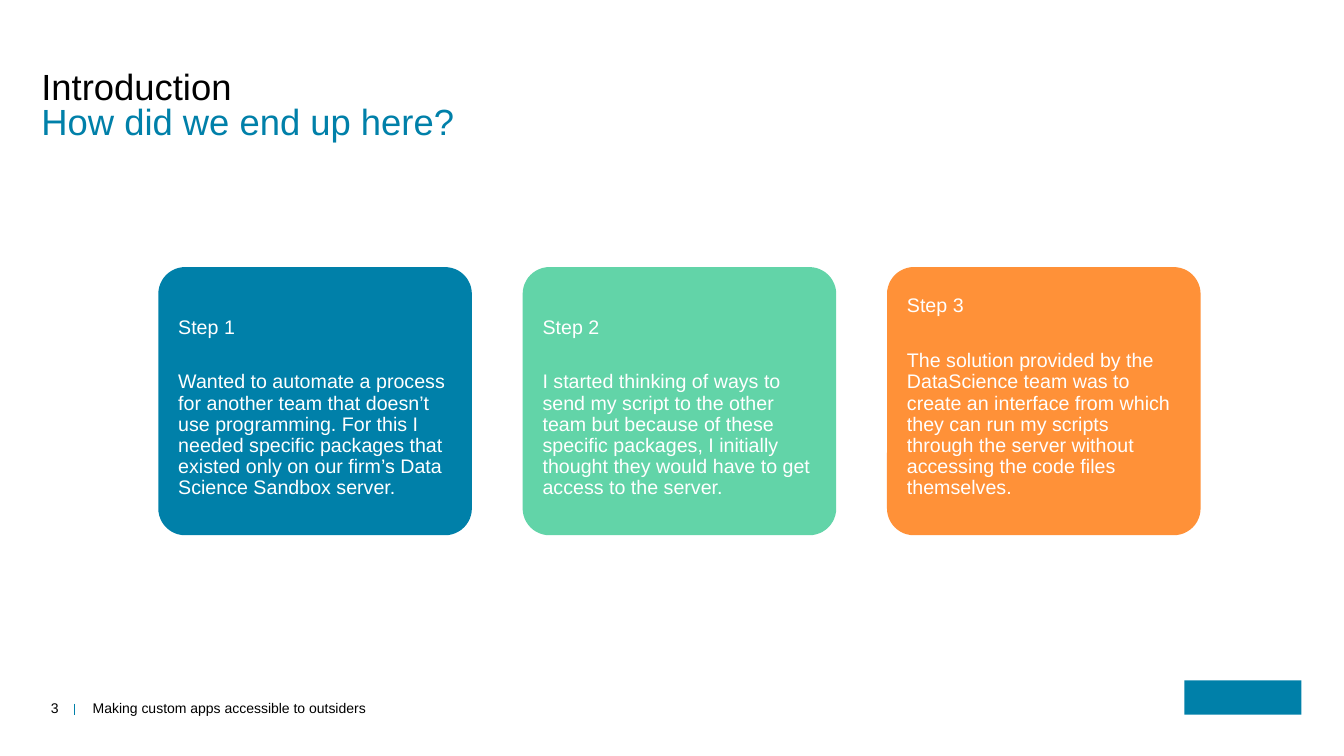
"""Build the introduction slide with three step cards."""
import pptx
import pptx.util
import pptx.dml.color
import pptx.enum.shapes
import pptx.enum.text
import pptx.oxml.ns
import lxml.etree

RGBColor = pptx.dml.color.RGBColor
ANCHOR = pptx.enum.text.MSO_ANCHOR
ALIGN = pptx.enum.text.PP_ALIGN
SHAPE = pptx.enum.shapes.MSO_SHAPE
BLUE = RGBColor(0x00, 0x80, 0xA9)
GREEN = RGBColor(0x62, 0xD4, 0xA8)
ORANGE = RGBColor(0xFF, 0x91, 0x38)
BLACK = RGBColor(0, 0, 0)
WHITE = RGBColor(0xFF, 0xFF, 0xFF)
FONT = "Arial"
WIDTH = pptx.util.Inches(13.33)
HEIGHT = pptx.util.Inches(7.5)
MARGIN, TEXT_WIDTH, TITLE_HEIGHT = 3.08, 93.9, 5.2
CARD_LEFT, CARD_TOP, CARD_PITCH = 11.78, 35.33, 27.11
CARD_WIDTH, CARD_HEIGHT = 23.33, 35.47
FOOTER_TOP, FOOTER_HEIGHT = 92.53, 2.27

STEPS = [
    ("Step 1", "Wanted to automate a process for another team that doesn’t use programming. "
     "For this I needed specific packages that existed only on our firm’s Data Science Sandbox server.",
     BLUE),
    ("Step 2", "I started thinking of ways to send my script to the other team but because of "
     "these specific packages, I initially thought they would have to get access to the server.",
     GREEN),
    ("Step 3", "The solution provided by the DataScience team was to create an interface from "
     "which they can run my scripts through the server without accessing the code files themselves.",
     ORANGE),
]


def area(x, y, w, h):
    """Turn percentages of the slide into left, top, width and height."""
    return int(WIDTH * x / 100), int(HEIGHT * y / 100), int(WIDTH * w / 100), int(HEIGHT * h / 100)


def set_frame(tf, anchor, left=0, top=0, right=0, bottom=0):
    """Set wrapping, anchor and insets in inches."""
    tf.word_wrap = True
    tf.auto_size = pptx.enum.text.MSO_AUTO_SIZE.NONE
    tf.vertical_anchor = anchor
    tf.margin_left, tf.margin_top = pptx.util.Inches(left), pptx.util.Inches(top)
    tf.margin_right, tf.margin_bottom = pptx.util.Inches(right), pptx.util.Inches(bottom)


def write(p, text, size, color, align=ALIGN.LEFT, spacing=1.0, before=0):
    """Add one formatted run to a paragraph."""
    p.alignment = align
    p.line_spacing = spacing
    p.space_before = pptx.util.Pt(before)
    r = p.add_run()
    r.text = text
    r.font.name = FONT
    r.font.size = pptx.util.Pt(size)
    r.font.color.rgb = color


def fill_heading(sp, y, text, color, anchor):
    """Place a placeholder and write one heading line without a bullet."""
    sp.left, sp.top, sp.width, sp.height = area(MARGIN, y, TEXT_WIDTH, TITLE_HEIGHT)
    set_frame(sp.text_frame, anchor)
    p = sp.text_frame.paragraphs[0]
    pPr = p._p.get_or_add_pPr()
    pPr.set("marL", "0")
    pPr.set("indent", "0")
    lxml.etree.SubElement(pPr, pptx.oxml.ns.qn("a:buNone"))
    write(p, text, 26, color, spacing=0.9)


def add_block(s, kind, box, color):
    """Add a plain filled shape without outline or shadow."""
    sp = s.shapes.add_shape(kind, *box)
    sp.shadow.inherit = False
    sp.fill.solid()
    sp.fill.fore_color.rgb = color
    sp.line.fill.background()
    return sp


def add_card(s, col, label, text, color):
    """Add a rounded step card in the given column."""
    box = area(CARD_LEFT + col * CARD_PITCH, CARD_TOP, CARD_WIDTH, CARD_HEIGHT)
    sp = add_block(s, SHAPE.ROUNDED_RECTANGLE, box, color)
    sp.adjustments[0] = 0.1
    tf = sp.text_frame
    set_frame(tf, ANCHOR.BOTTOM, 0.12, 0.08, 0.12, 0.28)
    write(tf.paragraphs[0], label, 14, WHITE, spacing=0.9)
    write(tf.add_paragraph(), text, 14, WHITE, spacing=0.9, before=24)


def add_footer_text(s, x, w, text, align, left=0):
    """Add a small text box on the footer row."""
    tf = s.shapes.add_textbox(*area(x, FOOTER_TOP, w, FOOTER_HEIGHT)).text_frame
    set_frame(tf, ANCHOR.MIDDLE, left=left, right=0.04)
    write(tf.paragraphs[0], text, 10, BLACK, align)


def add_divider(s, x, y, h):
    """Add the thin vertical line of the footer."""
    left, top, _, height = area(x, y, 0, h)
    line = s.shapes.add_connector(pptx.enum.shapes.MSO_CONNECTOR.STRAIGHT,
                                  left, top, left, top + height)
    line.line.color.rgb = BLUE
    line.line.width = pptx.util.Pt(1)
    lxml.etree.SubElement(line._element.spPr, pptx.oxml.ns.qn("a:effectLst"))


def main():
    """Build and save the slide."""
    prs = pptx.Presentation()
    prs.slide_width, prs.slide_height = WIDTH, HEIGHT
    s = prs.slides.add_slide(prs.slide_layouts[1])
    fill_heading(s.shapes.title, 9.07, "Introduction", BLACK, ANCHOR.MIDDLE)
    fill_heading(s.placeholders[1], 13.73, "How did we end up here?", BLUE, ANCHOR.TOP)
    for col, step in enumerate(STEPS):
        add_card(s, col, *step)
    add_footer_text(s, 2.18, 2.48, "3", ALIGN.RIGHT, left=0.04)
    add_divider(s, 5.55, 93.07, 1.46)
    add_footer_text(s, 6.9, 27.9, "Making custom apps accessible to outsiders", ALIGN.LEFT)
    add_block(s, SHAPE.RECTANGLE, area(88.13, 90, 8.7, 4.53), BLUE)
    prs.save("out.pptx")


if __name__ == "__main__":
    main()
